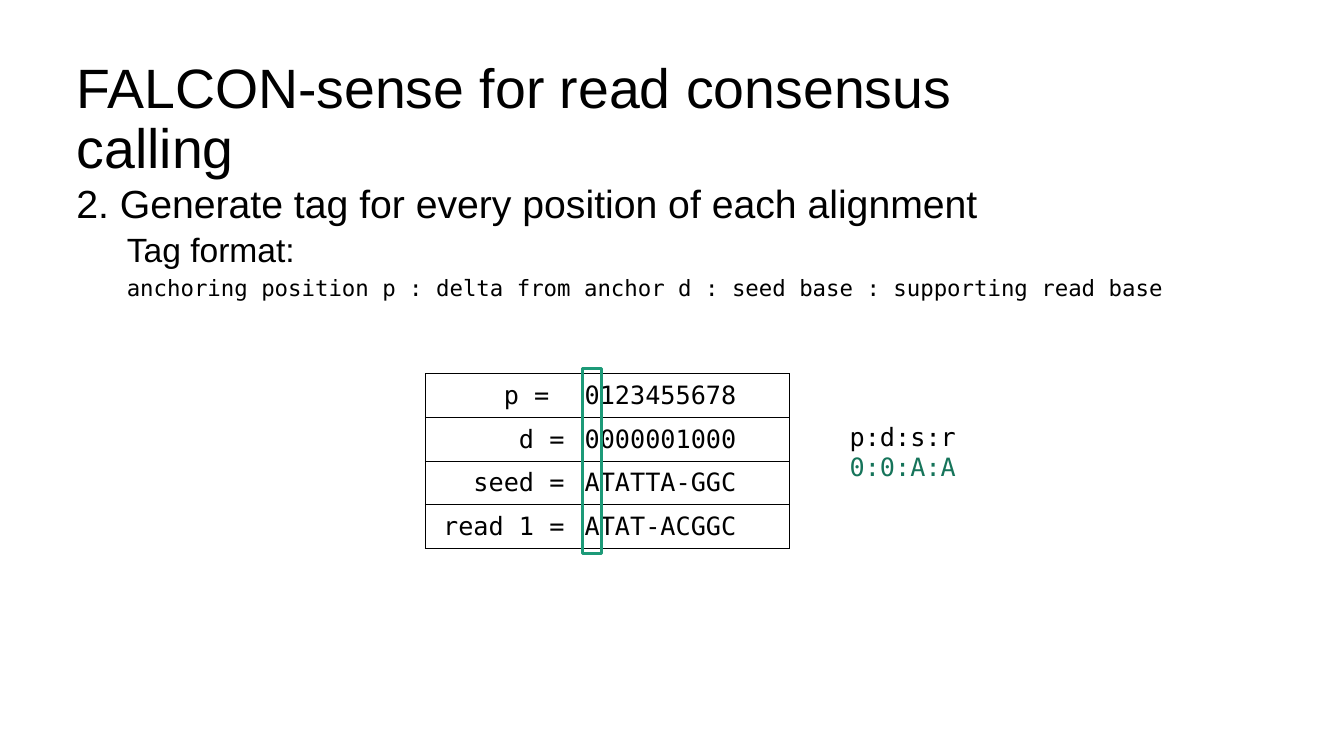
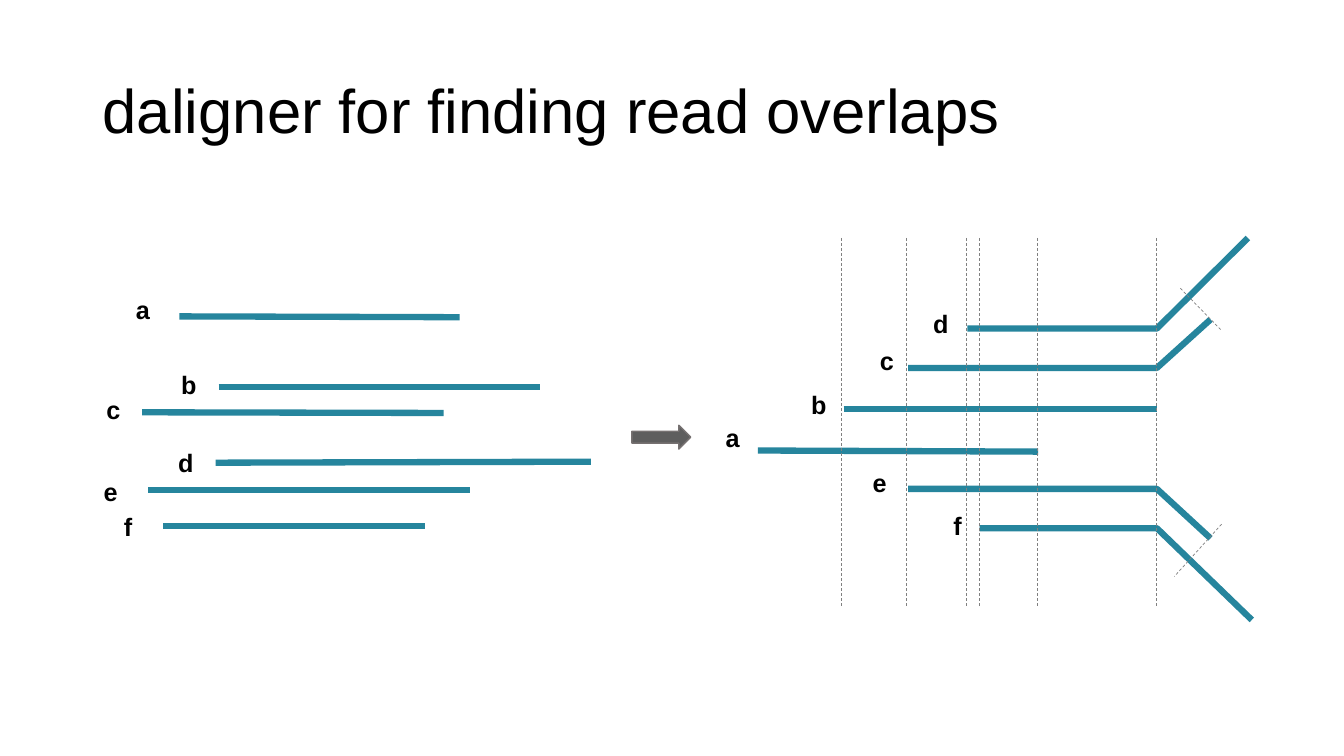
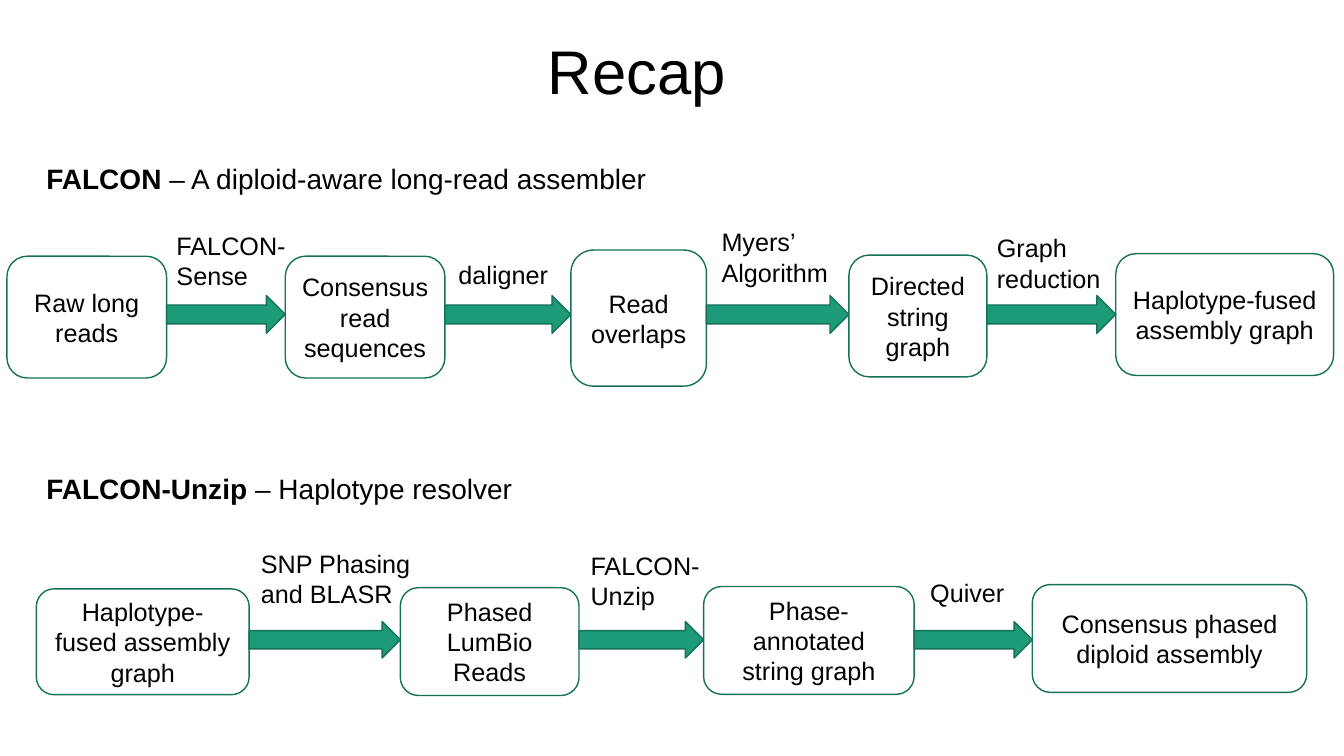
"""Builds three slides on long-read assembly: tags, read overlaps and a recap."""
from dataclasses import dataclass
from itertools import pairwise

from lxml.etree import SubElement
from pptx import Presentation
from pptx.dml.color import RGBColor
from pptx.enum.dml import MSO_LINE
from pptx.enum.shapes import MSO_CONNECTOR, MSO_SHAPE
from pptx.enum.text import MSO_ANCHOR, MSO_AUTO_SIZE, PP_ALIGN
from pptx.oxml.ns import qn
from pptx.util import Pt


@dataclass(frozen=True)
class Theme:
    black: str = "000000"
    green: str = "1D9A78"
    dark_green: str = "157259"
    tag_green: str = "16745A"
    teal: str = "26859D"
    guide: str = "808080"
    arrow: str = "5E5E5E"
    arrow_edge: str = "767171"
    sans: str = "Arial"
    mono: str = "DejaVu Sans Mono"
    title: float = 44
    long_title: float = 39.6
    lead: float = 28
    sub: float = 24
    heading: float = 20
    text: float = 18
    code: float = 16
    spacing: float = 0.9


T = Theme()

TAG_TITLE = "FALCON-sense for read consensus calling"
TAG_BODY = [
    ("2. Generate tag for every position of each alignment", T.lead, T.sans, 0, 0),
    ("Tag format:", T.sub, T.sans, 36, 5),
    ("anchoring position p : delta from anchor d : seed base : supporting read base",
     T.code, T.mono, 36, 5),
]
ALIGNMENT = [
    ("p = ", "0123455678"),
    ("d =", "0000001000"),
    ("seed =", "ATATTA-GGC"),
    ("read 1 =", "ATAT-ACGGC"),
]
ALIGNMENT_AT = (303.8, 267)
ALIGNMENT_COLS = (106.6, 153.6)
ALIGNMENT_ROW = 31.2
TAG_LINES = [("p:d:s:r", T.black), ("0:0:A:A", T.tag_green)]

OVERLAP_TITLE = "daligner for finding read overlaps"
UNALIGNED = [
    ("a", (90, 206.6), [(128.2, 226), (328.3, 226.6)]),
    ("b", (122.4, 260), [(156.2, 276.5), (386, 276.5)]),
    ("c", (69, 278), [(101.5, 294.5), (316.8, 295)]),
    ("d", (120.2, 316), [(154, 330.5), (422, 329.8)]),
    ("e", (67, 337), [(106, 350), (335.5, 350)]),
    ("f", (81.4, 361.4), [(116.6, 375.8), (303.8, 375.8)]),
]
BEND = 826.4
ALIGNED = [
    ("a", (511.2, 298), [(541.4, 321.8), (741.6, 322.6)]),
    ("b", (572.4, 274.3), [(602.6, 292.3), (BEND, 292.3)]),
    ("c", (621.4, 243.4), [(648.7, 262.8), (BEND, 262.8), (864.7, 228.2)]),
    ("d", (659.5, 216.7), [(691, 234.7), (BEND, 234.7), (891.4, 170)]),
    ("e", (616.3, 330.5), [(648.7, 349.2), (BEND, 349.2), (864.7, 384.5)]),
    ("f", (673.9, 360.7), [(699.8, 377.3), (BEND, 377.3), (894.2, 442.8)]),
]
GUIDE_XS = (601.2, 647.3, 690.5, 699.8, 740.9, 825.8)
GUIDE_TOP, GUIDE_BOTTOM = 170, 434
CROSS_GUIDES = [((872.6, 374.4), (838.8, 411.8)), ((843.1, 205.9), (871.9, 235.4))]

RECAP_TITLE = "Recap"
FLOWS = [
    {
        "heading": ("FALCON ", "– A diploid-aware long-read assembler"),
        "heading_y": 111.6,
        "arrow_y": 224.6,
        "arrow_h": 27,
        "boxes": [
            ("Raw long reads", (5, 183, 114, 87)),
            ("Consensus read sequences", (203.8, 183, 114, 87)),
            ("Read overlaps", (407.8, 178.6, 96.8, 97.2)),
            ("Directed string graph", (606.4, 182.2, 98.6, 87)),
            ("Haplotype-fused assembly graph", (797, 181.2, 155.6, 87)),
        ],
        "steps": [
            ("FALCON-Sense", (119, 160.6, 96.5, 60)),
            ("daligner", (320.4, 182, 89.3, 34)),
            ("Myers’ Algorithm", (508.3, 158.4, 103, 60)),
            ("Graph reduction", (705, 162.7, 103.7, 60)),
        ],
    },
    {
        "heading": ("FALCON-Unzip ", "– Haplotype resolver"),
        "heading_y": 333.4,
        "arrow_y": 457,
        "arrow_h": 26,
        "boxes": [
            ("Haplotype-fused assembly graph", (26, 420.6, 152, 75.6)),
            ("Phased LumBio Reads", (286, 419.8, 127.6, 77)),
            ("Phase-annotated string graph", (502.6, 419, 150.4, 77)),
            ("Consensus phased diploid assembly", (737.4, 417.6, 196, 77)),
        ],
        "steps": [
            ("SNP Phasing and BLASR", (179.3, 388, 122.4, 60)),
            ("FALCON-Unzip", (414.7, 389.6, 99.4, 60)),
            ("Quiver", (657.4, 409, 110.9, 36)),
        ],
    },
]


def rgb(color):
    return RGBColor.from_string(color)


def style(p, size=T.text, font=T.sans, color=T.black, bold=False):
    p.font.size, p.font.name, p.font.bold = Pt(size), font, bold
    p.font.color.rgb = rgb(color)


def add_slide(prs, title, box, size=T.title, align=PP_ALIGN.LEFT):
    s = prs.slides.add_slide(prs.slide_layouts[5])
    sp = s.shapes.title
    sp.left, sp.top, sp.width, sp.height = map(Pt, box)
    tf = sp.text_frame
    tf.text = title
    tf.auto_size = MSO_AUTO_SIZE.NONE
    tf.vertical_anchor = MSO_ANCHOR.MIDDLE
    p = tf.paragraphs[0]
    p.alignment, p.line_spacing = align, T.spacing
    style(p, size)
    return s


def add_text(shapes, lines, box):
    tf = shapes.add_textbox(*map(Pt, box)).text_frame
    tf.word_wrap = True
    tf.text = "\n".join(lines)
    return tf


def add_label(shapes, text, box, bold=False):
    style(add_text(shapes, [text], box).paragraphs[0], bold=bold)


def add_shape(shapes, kind, box, line, width=1, fill=None):
    sp = shapes.add_shape(kind, *map(Pt, box))
    paint(sp, line, width, fill)
    return sp


def paint(sp, line, width, fill=None):
    sp.shadow.inherit = False
    if fill:
        sp.fill.solid()
        sp.fill.fore_color.rgb = rgb(fill)
    else:
        sp.fill.background()
    sp.line.color.rgb, sp.line.width = rgb(line), Pt(width)


def add_line(shapes, start, end, color, width, dash=None):
    cx = shapes.add_connector(MSO_CONNECTOR.STRAIGHT, *map(Pt, start + end))
    cx.line.color.rgb, cx.line.width = rgb(color), Pt(width)
    if dash:
        cx.line.dash_style = dash
    SubElement(cx._element.spPr, qn("a:effectLst"))


def add_read(shapes, name, at, points):
    if len(points) == 2:
        add_line(shapes, *points, T.teal, 4.5)
    else:
        start, *rest = [tuple(map(Pt, point)) for point in points]
        builder = shapes.build_freeform(*start)
        builder.add_line_segments(rest, close=False)
        paint(builder.convert_to_shape(), T.teal, 4.5)
    add_label(shapes, name, (*at, 31, 36), bold=True)


def set_borders(cell, shown):
    tcPr = cell._tc.get_or_add_tcPr()
    for side in "LRTB":
        ln = SubElement(tcPr, qn(f"a:ln{side}"), w=str(Pt(0.5)))
        if side in shown:
            fill = SubElement(ln, qn("a:solidFill"))
            SubElement(fill, qn("a:srgbClr"), val=T.black)
        else:
            SubElement(ln, qn("a:noFill"))


def add_alignment(shapes):
    size = (sum(ALIGNMENT_COLS), ALIGNMENT_ROW * len(ALIGNMENT))
    table = shapes.add_table(len(ALIGNMENT), 2, *map(Pt, ALIGNMENT_AT + size)).table
    table.first_row = table.horz_banding = False
    for column, width in zip(table.columns, ALIGNMENT_COLS):
        column.width = Pt(width)
    looks = [("LTB", PP_ALIGN.RIGHT), ("RTB", PP_ALIGN.LEFT)]
    for row, texts in zip(table.rows, ALIGNMENT):
        row.height = Pt(ALIGNMENT_ROW)
        for cell, text, (shown, align) in zip(row.cells, texts, looks):
            cell.text = text
            cell.vertical_anchor = MSO_ANCHOR.MIDDLE
            set_borders(cell, shown)
            cell.fill.background()
            p = cell.text_frame.paragraphs[0]
            p.alignment = align
            style(p, font=T.mono)


def tag_slide(prs):
    shapes = add_slide(prs, TAG_TITLE, (47.5, 44.6, 747.4, 83.5), T.long_title).shapes
    body = add_text(shapes, [row[0] for row in TAG_BODY], (47.5, 128.2, 828, 342.7))
    for p, (_, size, font, indent, before) in zip(body.paragraphs, TAG_BODY):
        p._p.get_or_add_pPr().set("marL", str(Pt(indent)))
        p.line_spacing, p.space_before = T.spacing, Pt(before)
        style(p, size, font)
    add_alignment(shapes)
    add_shape(shapes, MSO_SHAPE.RECTANGLE, (416.2, 263.5, 13.7, 131.8), T.green, 2.25)
    tags = add_text(shapes, [text for text, _ in TAG_LINES], (599.8, 297.4, 96, 51))
    for p, (_, color) in zip(tags.paragraphs, TAG_LINES):
        style(p, font=T.mono, color=color)


def overlap_slide(prs):
    s = add_slide(prs, OVERLAP_TITLE, (66.2, 28.8, 828, 104.4))
    for reads in (UNALIGNED, ALIGNED):
        group = s.shapes.add_group_shape().shapes
        for read in reads:
            add_read(group, *read)
    verticals = [((x, GUIDE_TOP), (x, GUIDE_BOTTOM)) for x in GUIDE_XS]
    for start, end in verticals + CROSS_GUIDES:
        add_line(group, start, end, T.guide, 0.5, MSO_LINE.DASH)
    add_shape(s.shapes, MSO_SHAPE.RIGHT_ARROW, (451.4, 303.8, 42, 17),
              T.arrow_edge, 1, T.arrow)


def add_flow(s, flow):
    tf = add_text(s.shapes, [""], (26, flow["heading_y"], 451.4, 31.7))
    p = tf.paragraphs[0]
    style(p, T.heading)
    for text, bold in zip(flow["heading"], (True, False)):
        r = p.add_run()
        r.text, r.font.bold = text, bold
    group = s.shapes.add_group_shape().shapes
    for text, box in flow["boxes"]:
        tf = add_shape(group, MSO_SHAPE.ROUNDED_RECTANGLE, box, T.dark_green).text_frame
        tf.text = text
        tf.vertical_anchor = MSO_ANCHOR.MIDDLE
        tf.paragraphs[0].alignment = PP_ALIGN.CENTER
        style(tf.paragraphs[0])
    height = flow["arrow_h"]
    top = flow["arrow_y"] - height / 2
    for (_, (x, _, w, _)), (_, (next_x, *_)) in pairwise(flow["boxes"]):
        add_shape(group, MSO_SHAPE.RIGHT_ARROW, (x + w, top, next_x - x - w, height),
                  T.dark_green, 1, T.green)
    for text, box in flow["steps"]:
        add_label(group, text, box)


def recap_slide(prs):
    s = add_slide(prs, RECAP_TITLE, (41, 15, 828, 76.3), align=PP_ALIGN.CENTER)
    for flow in FLOWS:
        add_flow(s, flow)


def main():
    prs = Presentation()
    prs.slide_width, prs.slide_height = Pt(960), Pt(540)
    tag_slide(prs)
    overlap_slide(prs)
    recap_slide(prs)
    prs.save("out.pptx")


if __name__ == "__main__":
    main()
